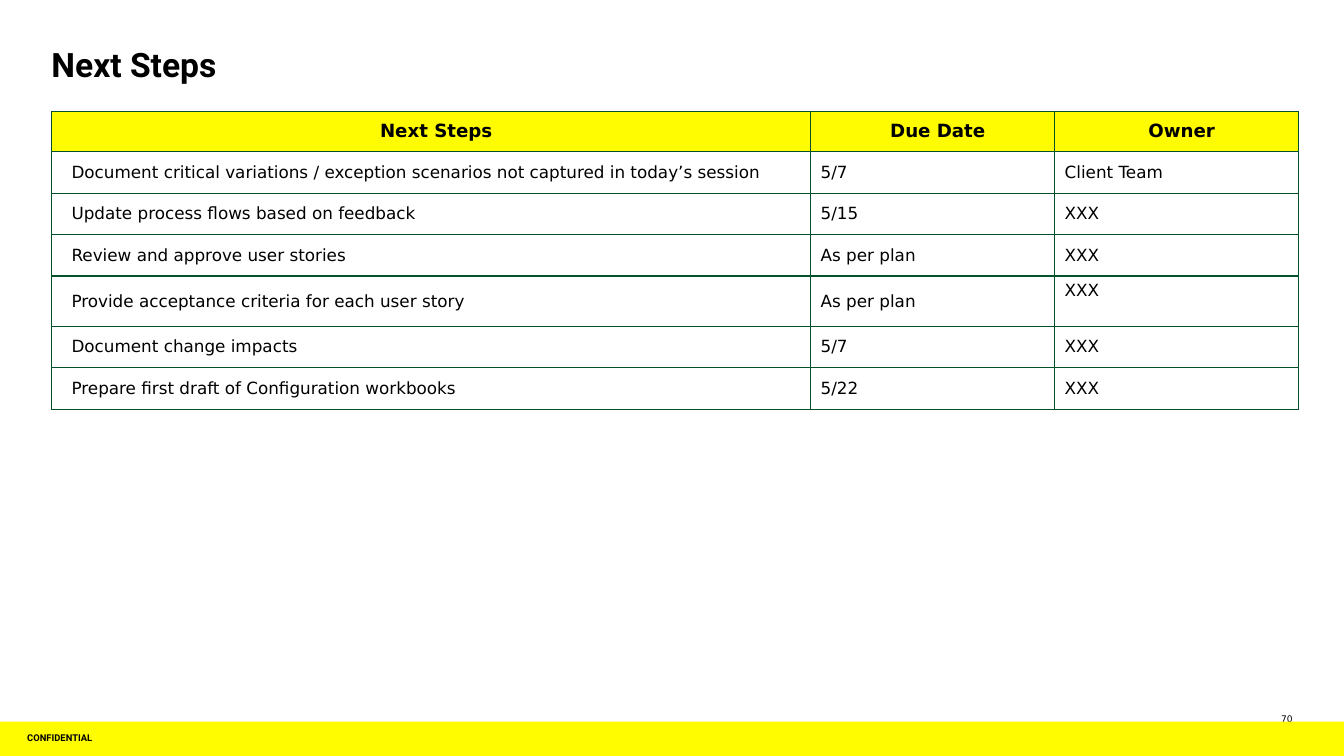
from lxml import etree
from pptx import Presentation
from pptx.dml.color import RGBColor
from pptx.enum.shapes import MSO_SHAPE
from pptx.enum.text import MSO_ANCHOR, PP_ALIGN
from pptx.oxml.ns import qn
from pptx.util import Inches, Pt

LEFT, CENTER, RIGHT = PP_ALIGN.LEFT, PP_ALIGN.CENTER, PP_ALIGN.RIGHT
TOP, MIDDLE = MSO_ANCHOR.TOP, MSO_ANCHOR.MIDDLE
RECTANGLE = MSO_SHAPE.RECTANGLE

SLIDE_W, SLIDE_H = 13.33, 7.5
MARGIN = 0.51
FOOTER_H = 0.34
COLORS = {"text": "000000", "header": "FFFB00", "footer": "FFFC00", "border": "03502A"}
HEADING_FONT, BODY_FONT = "Roboto", "DejaVu Sans"

COLUMN_WIDTHS = [7.53, 2.42, 2.42]
ROW_HEIGHTS = [0.39, 0.42, 0.41, 0.41, 0.5, 0.41, 0.41]
TOP_ALIGNED_CELL = (4, 2)
STEPS = [
    ("Next Steps", "Due Date", "Owner"),
    ("Document critical variations / exception scenarios not captured in today’s session", "5/7", "Client Team"),
    ("Update process flows based on feedback", "5/15", "XXX"),
    ("Review and approve user stories", "As per plan", "XXX"),
    ("Provide acceptance criteria for each user story", "As per plan", "XXX"),
    ("Document change impacts", "5/7", "XXX"),
    ("Prepare first draft of Configuration workbooks", "5/22", "XXX"),
]


def write(frame, text, size, font=BODY_FONT, bold=False, align=LEFT, indent=0, spacing=1.0):
    """Put one formatted paragraph into a text frame."""
    paragraph = frame.paragraphs[0]
    paragraph.alignment = align
    paragraph.line_spacing = spacing
    properties = paragraph._p.get_or_add_pPr()
    properties.set("marL", str(Inches(indent)))
    properties.set("indent", "0")
    run = paragraph.add_run()
    run.text = text
    run.font.size = Pt(size)
    run.font.name = font
    run.font.bold = bold
    run.font.color.rgb = RGBColor.from_string(COLORS["text"])


def add_label(slide, box, text, size, inset=0, anchor=TOP, **style):
    """Add a text box with even insets."""
    frame = slide.shapes.add_textbox(*map(Inches, box)).text_frame
    frame.word_wrap = True
    frame.vertical_anchor = anchor
    frame.margin_left = frame.margin_right = Inches(inset)
    frame.margin_top = frame.margin_bottom = Inches(inset)
    write(frame, text, size, **style)


def add_borders(cell):
    """Draw a one-point line on all four sides of a cell."""
    properties = cell._tc.get_or_add_tcPr()
    for side in ("lnL", "lnR", "lnT", "lnB"):
        line = etree.SubElement(properties, qn(f"a:{side}"), w=str(Pt(1)))
        fill = etree.SubElement(line, qn("a:solidFill"))
        etree.SubElement(fill, qn("a:srgbClr"), val=COLORS["border"])


def add_steps_table(slide, left, top):
    """Add the table of steps, due dates and owners."""
    box = (left, top, sum(COLUMN_WIDTHS), sum(ROW_HEIGHTS))
    table = slide.shapes.add_table(len(STEPS), len(COLUMN_WIDTHS), *map(Inches, box)).table
    table.horz_banding = False
    for column, width in zip(table.columns, COLUMN_WIDTHS):
        column.width = Inches(width)
    for row_index, (row, height, step) in enumerate(zip(table.rows, ROW_HEIGHTS, STEPS)):
        row.height = Inches(height)
        header = row_index == 0
        for column_index, (cell, text) in enumerate(zip(row.cells, step)):
            add_borders(cell)
            if header:
                cell.fill.solid()
                cell.fill.fore_color.rgb = RGBColor.from_string(COLORS["header"])
            else:
                cell.fill.background()
            cell.vertical_anchor = TOP if (row_index, column_index) == TOP_ALIGNED_CELL else MIDDLE
            write(cell.text_frame, text, 13 if header else 12, bold=header,
                  align=CENTER if header else LEFT,
                  indent=0.1 if header or column_index == 0 else 0)


def add_footer(slide, left, top, width, height):
    """Add the page number and the confidentiality bar that overlaps it."""
    add_label(slide, (left + width - MARGIN - 0.34, top - 0.08, 0.34, 0.11), "70", 6.5, align=RIGHT)
    bar = slide.shapes.add_shape(RECTANGLE, *map(Inches, (left, top, width, height)))
    bar.shadow.inherit = False
    bar.fill.solid()
    bar.fill.fore_color.rgb = RGBColor.from_string(COLORS["footer"])
    bar.line.fill.background()
    add_label(slide, (left + 0.24, top, 1.81, height), "CONFIDENTIAL", 6.7, inset=0.03,
              anchor=MIDDLE, font=HEADING_FONT, bold=True, spacing=0.8)


def main():
    """Build and save the slide."""
    deck = Presentation()
    deck.slide_width, deck.slide_height = Inches(SLIDE_W), Inches(SLIDE_H)
    slide = deck.slides.add_slide(deck.slide_layouts[6])
    add_footer(slide, 0, SLIDE_H - FOOTER_H, SLIDE_W, FOOTER_H)
    add_steps_table(slide, MARGIN, 1.11)
    add_label(slide, (MARGIN, 0.44, SLIDE_W - 2 * MARGIN, 0.76), "Next Steps", 24,
              font=HEADING_FONT, bold=True)
    deck.save("out.pptx")


if __name__ == "__main__":
    main()
